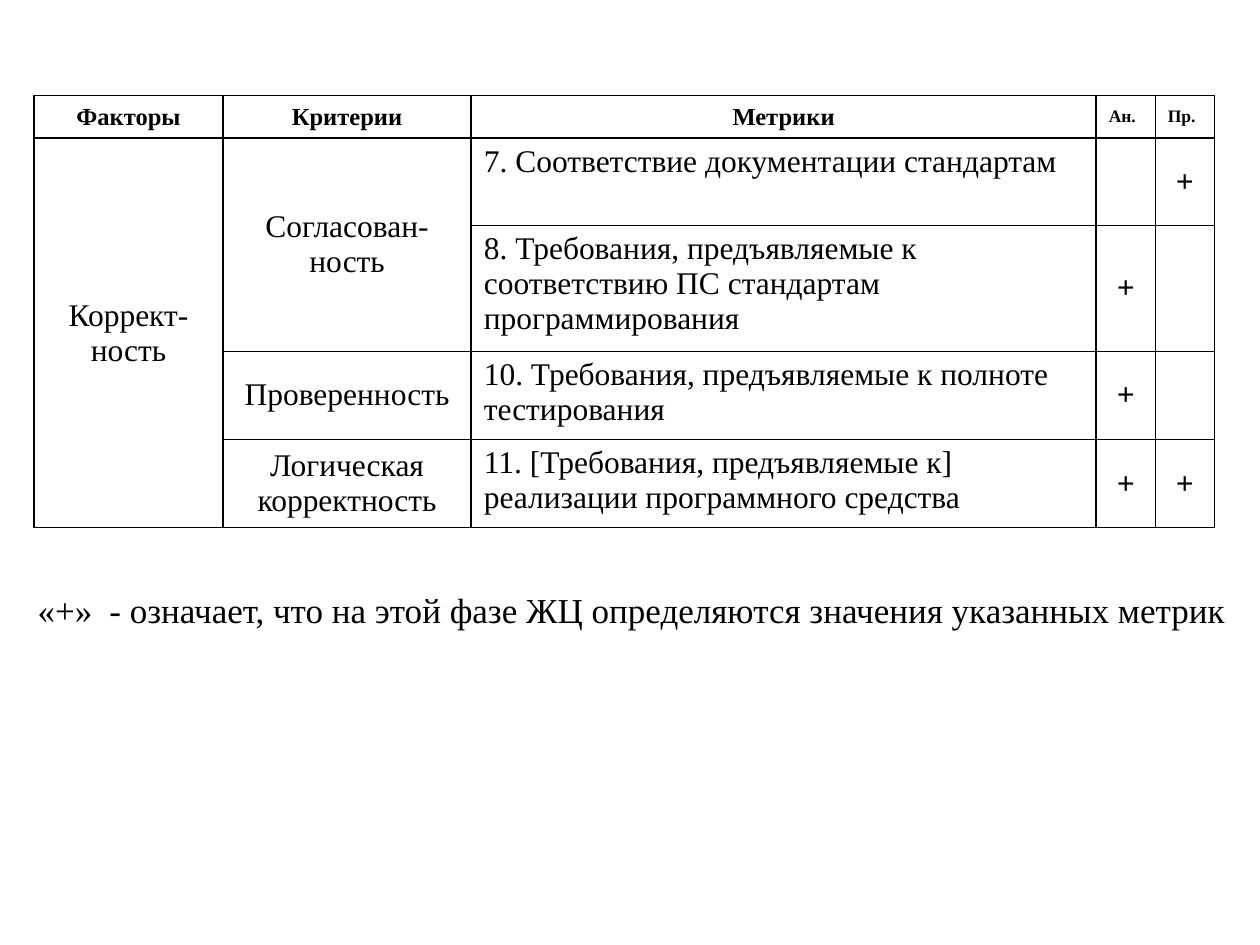
"""Build a slide with a table of software correctness metrics."""
import pptx
import pptx.dml.color
import pptx.enum.text
import pptx.oxml
import pptx.oxml.ns
import pptx.util

W, H = 10, 7.5
FONT = "Times New Roman"
INK = "000000"
THICK, THIN = 1.08, 0.45
COLS = [1.5, 1.97, 4.96, 0.47, 0.47]
ROWS = [0.34, 0.69, 1, 0.7, 0.7]
SPANS = {(1, 0): 4, (1, 1): 2}
CELLS = [
    ["Факторы", "Критерии", "Метрики", "Ан.", "Пр."],
    ["Коррект-ность", "Согласован-ность", "7. Соответствие документации стандартам", "", "+"],
    ["", "", "8. Требования, предъявляемые к соответствию ПС стандартам программирования", "+", ""],
    ["", "Проверенность", "10. Требования, предъявляемые к полноте тестирования", "+", ""],
    ["", "Логическая корректность",
     "11. [Требования, предъявляемые к] реализации программного средства", "+", "+"],
]
NOTE = "«+»\t- означает, что на этой фазе ЖЦ определяются значения указанных метрик"
CENTER = pptx.enum.text.PP_ALIGN.CENTER
LEFT = pptx.enum.text.PP_ALIGN.LEFT
MIDDLE = pptx.enum.text.MSO_ANCHOR.MIDDLE
TOP = pptx.enum.text.MSO_ANCHOR.TOP


def rgb(value):
    """Return the colour of a hex string."""
    return pptx.dml.color.RGBColor.from_string(value)


def add_xml(parent, body):
    """Append an element given as DrawingML text."""
    parent.append(pptx.oxml.parse_xml(body.replace(">", f" {pptx.oxml.ns.nsdecls('a')}>", 1)))


def write(p, text, size, bold=False, align=LEFT):
    """Write one formatted run into a paragraph."""
    p.alignment = align
    r = p.add_run()
    r.text = text
    for name, value in {"name": FONT, "size": pptx.util.Pt(size), "bold": bold}.items():
        setattr(r.font, name, value)
    r.font.color.rgb = rgb(INK)


def cell_format(row, col, text):
    """Return size, weight and alignment for a table position."""
    if row == 0:
        narrow = col > 2
        return {"size": 10 if narrow else 14, "bold": True, "align": LEFT if narrow else CENTER}
    return {"size": 18, "bold": text == "+", "align": LEFT if col == 2 else CENTER}


def set_borders(cell, row, col, end):
    """Draw thin lines between body rows and between the two phase columns."""
    thin = {"L": col == 4, "R": col == 3, "T": row > 1, "B": 0 < row and end < len(ROWS)}
    for side, is_thin in thin.items():
        width = pptx.util.Pt(THIN if is_thin else THICK)
        add_xml(cell._tc.get_or_add_tcPr(),
                f'<a:ln{side} w="{width}"><a:solidFill><a:srgbClr val="{INK}"/>'
                f'</a:solidFill></a:ln{side}>')


def fill_cell(table, row, col):
    """Fill one cell, with the rows it spans, and draw its borders."""
    cell, text = table.cell(row, col), CELLS[row][col]
    end = row + SPANS.get((row, col), 1)
    if end > row + 1:
        cell.merge(table.cell(end - 1, col))
    for part in range(row, end):
        set_borders(table.cell(part, col), row, col, end)
        table.cell(part, col).fill.background()
    cell.vertical_anchor = TOP if col == 2 and row else MIDDLE
    if text:
        write(cell.text_frame.paragraphs[0], text, **cell_format(row, col, text))


def add_metrics_table(s):
    """Add the table of factors, criteria and metrics."""
    box = [W * 0.027, H * 0.101, sum(COLS), sum(ROWS)]
    table = s.shapes.add_table(len(ROWS), len(COLS), *map(pptx.util.Inches, box)).table
    table.first_row = table.horz_banding = False
    for column, width in zip(table.columns, COLS):
        column.width = pptx.util.Inches(width)
    for line, height in zip(table.rows, ROWS):
        line.height = pptx.util.Inches(height)
    for row in range(len(ROWS)):
        for col in range(len(COLS)):
            if not table.cell(row, col).is_spanned:
                fill_cell(table, row, col)


def add_note(s):
    """Add the explanation of the plus sign below the table."""
    box = [W * 0.02, H * 0.616, W * 0.969, H * 0.147]
    tf = s.shapes.add_textbox(*map(pptx.util.Inches, box)).text_frame
    tf.word_wrap = True
    p = tf.paragraphs[0]
    stop = pptx.util.Inches(0.57)
    add_xml(p._p.get_or_add_pPr(), f'<a:tabLst><a:tab pos="{stop}" algn="l"/></a:tabLst>')
    write(p, NOTE, 20)


def main():
    """Build and save the slide."""
    prs = pptx.Presentation()
    prs.slide_width, prs.slide_height = pptx.util.Inches(W), pptx.util.Inches(H)
    s = prs.slides.add_slide(prs.slide_layouts[6])
    add_metrics_table(s)
    add_note(s)
    prs.save("out.pptx")


if __name__ == "__main__":
    main()
